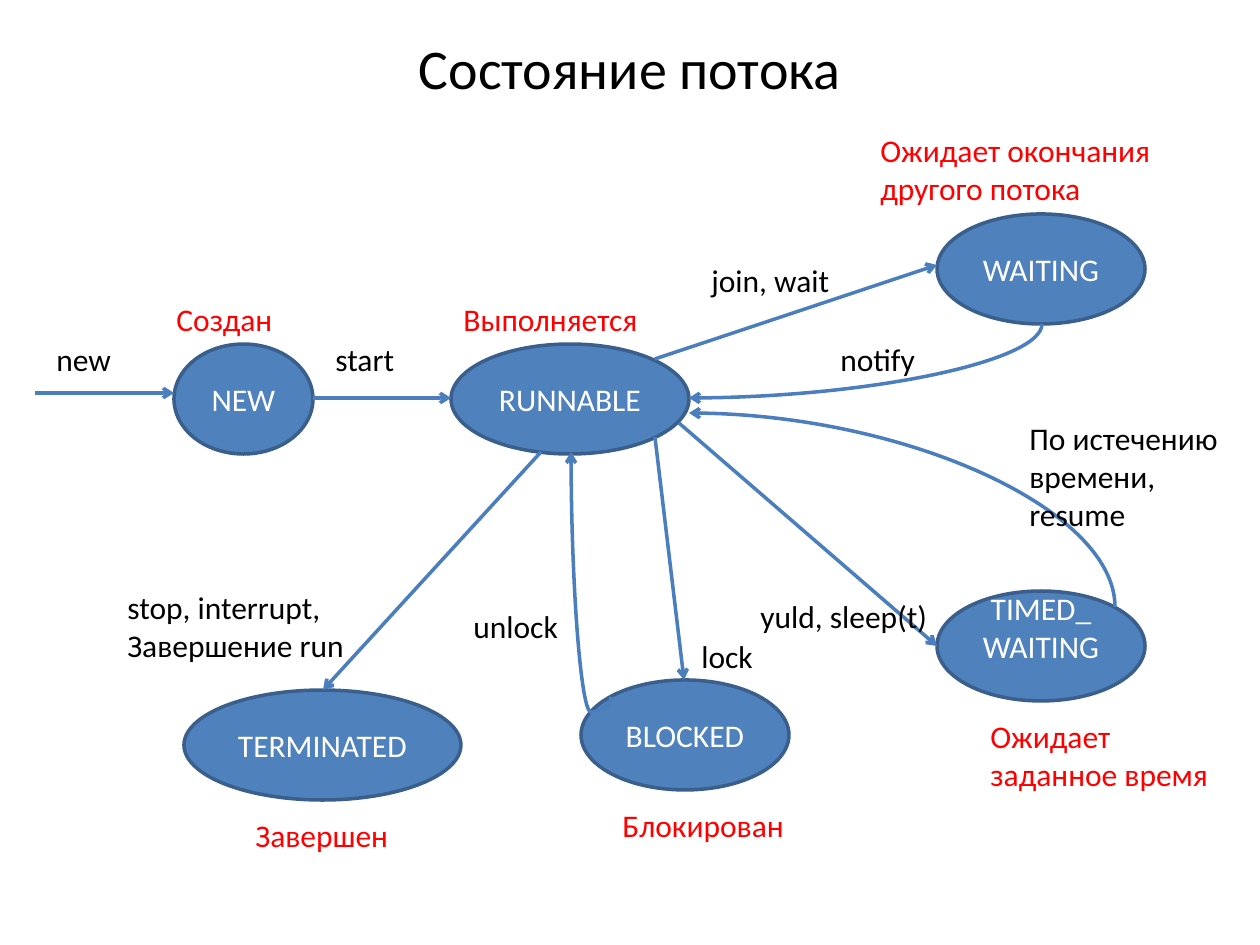
from dataclasses import dataclass

from lxml import etree
from pptx import Presentation
from pptx.dml.color import RGBColor
from pptx.enum.shapes import MSO_CONNECTOR, MSO_SHAPE
from pptx.enum.text import MSO_ANCHOR, PP_ALIGN
from pptx.oxml.ns import qn
from pptx.util import Pt

ELLIPSE = MSO_SHAPE.OVAL
STRAIGHT, CURVE = MSO_CONNECTOR.STRAIGHT, MSO_CONNECTOR.CURVE
LEFT, CENTER = PP_ALIGN.LEFT, PP_ALIGN.CENTER
TOP, MIDDLE = MSO_ANCHOR.TOP, MSO_ANCHOR.MIDDLE
SCALE = 914400 / 126
SLIDE_W, SLIDE_H = 1260, 945
STATE_H = 110
LINE_H, TWO_LINES_H, THREE_LINES_H = 50, 89, 127


@dataclass(frozen=True)
class Theme:
    font: str = "Calibri"
    title_size: int = 32
    body_size: int = 18
    line_width: int = 2
    ink: RGBColor = RGBColor(0, 0, 0)
    caption: RGBColor = RGBColor(0xFF, 0, 0)
    on_state: RGBColor = RGBColor(0xFF, 0xFF, 0xFF)
    state: RGBColor = RGBColor(0x4F, 0x81, 0xBD)
    outline: RGBColor = RGBColor(0x3A, 0x5F, 0x8C)
    arrow: RGBColor = RGBColor(0x4B, 0x7E, 0xBC)


THEME = Theme()

# name, box, caption, caption box relative to the state, lift of the name
STATES = [
    ("TIMED_WAITING", (937, 591, 208, STATE_H),
     "Ожидает заданное время", (41, 120, 248, TWO_LINES_H), 38),
    ("RUNNABLE", (451, 344, 238, STATE_H),
     "Выполняется", (0, -50, 208, LINE_H), 0),
    ("TERMINATED", (184, 690, 277, STATE_H),
     "Завершен", (59, 120, 159, LINE_H), 0),
    ("WAITING", (937, 214, 208, STATE_H),
     "Ожидает окончания другого потока", (-69, -89, 318, TWO_LINES_H), 0),
    ("NEW", (174, 344, 139, STATE_H),
     "Создан", (-10, -50, 159, LINE_H), 0),
    ("BLOCKED", (581, 680, 208, STATE_H),
     "Блокирован", (29, 120, 189, LINE_H), 0),
]

# label, start, end, label box relative to the start
STRAIGHT_TRANSITIONS = [
    ("new", (35, 393), (174, 393), (9, -59, 118, LINE_H)),
    ("start", (313, 398), (451, 398), (10, -64, 100, LINE_H)),
    ("join, wait", (655, 359), (937, 265), (44, -104, 149, LINE_H)),
    ("yuld, sleep(t)", (679, 423), (937, 646), (69, 168, 208, LINE_H)),
    ("lock", (655, 437), (684, 680), (34, 194, 129, LINE_H)),
    ("stop, interrupt,\nЗавершение run", (541, 452), (323, 690),
     (-426, 130, 287, TWO_LINES_H)),
]

# the same, then the preset and its adjustment
CURVED_TRANSITIONS = [
    ("notify", (1042, 324), (689, 398), (-214, 10, 129, LINE_H),
     "curvedConnector2", None),
    ("По истечению времени,\nresume", (1115, 607), (689, 413),
     (-98, -194, 218, THREE_LINES_H), "curvedConnector2", None),
    ("unlock", (611, 697), (571, 452), (-150, -96, 118, LINE_H),
     "curvedConnector3", -6200),
]


def emu(*pixels):
    """Turn pixel lengths into EMU."""
    return [round(value * SCALE) for value in pixels]


def inside(origin, box):
    """Move a box given relative to an origin onto the slide."""
    return origin[0] + box[0], origin[1] + box[1], box[2], box[3]


def write(frame, text, size=THEME.body_size, color=THEME.ink,
          align=LEFT, anchor=TOP):
    """Fill a text frame, one paragraph a line, and format it."""
    frame.word_wrap = True
    frame.vertical_anchor = anchor
    frame.text = text
    for paragraph in frame.paragraphs:
        paragraph.alignment = align
        for run in paragraph.runs:
            run.font.name = THEME.font
            run.font.size = Pt(size)
            run.font.color.rgb = color


def add_label(slide, box, text, **style):
    """Place free text in a box."""
    write(slide.shapes.add_textbox(*emu(*box)).text_frame, text, **style)


def add_title(slide, box, text):
    """Place and format the title placeholder."""
    title = slide.shapes.title
    title.left, title.top, title.width, title.height = emu(*box)
    write(title.text_frame, text, size=THEME.title_size, align=CENTER,
          anchor=MIDDLE)


def add_state(slide, box, name, caption, caption_box, lift):
    """Draw a state ellipse with its caption."""
    state = slide.shapes.add_shape(ELLIPSE, *emu(*box))
    state.shadow.inherit = False
    state.fill.solid()
    state.fill.fore_color.rgb = THEME.state
    state.line.color.rgb = THEME.outline
    state.line.width = Pt(THEME.line_width)
    write(state.text_frame, name, color=THEME.on_state, align=CENTER,
          anchor=MIDDLE)
    state.text_frame.margin_bottom += emu(lift)[0]
    add_label(slide, inside(box, caption_box), caption, color=THEME.caption)


def add_arrow(slide, kind, start, end):
    """Draw a connector with an open arrowhead at its end."""
    arrow = slide.shapes.add_connector(kind, *emu(*start, *end))
    arrow.line.color.rgb = THEME.arrow
    arrow.line.width = Pt(THEME.line_width)
    etree.SubElement(arrow.line._get_or_add_ln(), qn("a:tailEnd"),
                     type="arrow")
    etree.SubElement(arrow._element.spPr, qn("a:effectLst"))
    return arrow


def add_transition(slide, label, start, end, label_box):
    """Draw a straight transition and its label."""
    add_arrow(slide, STRAIGHT, start, end)
    add_label(slide, inside(start, label_box), label)


def add_curved_transition(slide, label, start, end, label_box, preset,
                          adjustment):
    """Draw a transition that leaves vertically and runs left."""
    mid_x, mid_y = (start[0] + end[0]) / 2, (start[1] + end[1]) / 2
    half_w, half_h = abs(end[1] - start[1]) / 2, abs(end[0] - start[0]) / 2
    downward = end[1] > start[1]
    rise = half_h if downward else -half_h
    arrow = add_arrow(slide, CURVE, (mid_x - half_w, mid_y - rise),
                      (mid_x + half_w, mid_y + rise))
    properties = arrow._element.spPr
    properties.find(qn("a:xfrm")).set(
        "rot", str((90 if downward else 270) * 60000))
    geometry = properties.find(qn("a:prstGeom"))
    geometry.set("prst", preset)
    if adjustment is not None:
        etree.SubElement(geometry.find(qn("a:avLst")), qn("a:gd"),
                         name="adj1", fmla=f"val {adjustment}")
    add_label(slide, inside(start, label_box), label)


def build():
    """Build the thread state diagram."""
    deck = Presentation()
    deck.slide_width, deck.slide_height = emu(SLIDE_W, SLIDE_H)
    slide = deck.slides.add_slide(deck.slide_layouts[5])
    add_title(slide, (63, 38, 1134, 58), "Состояние потока")
    for name, box, caption, caption_box, lift in STATES:
        add_state(slide, box, name, caption, caption_box, lift)
    for transition in STRAIGHT_TRANSITIONS:
        add_transition(slide, *transition)
    for transition in CURVED_TRANSITIONS:
        add_curved_transition(slide, *transition)
    deck.save("out.pptx")


build()
